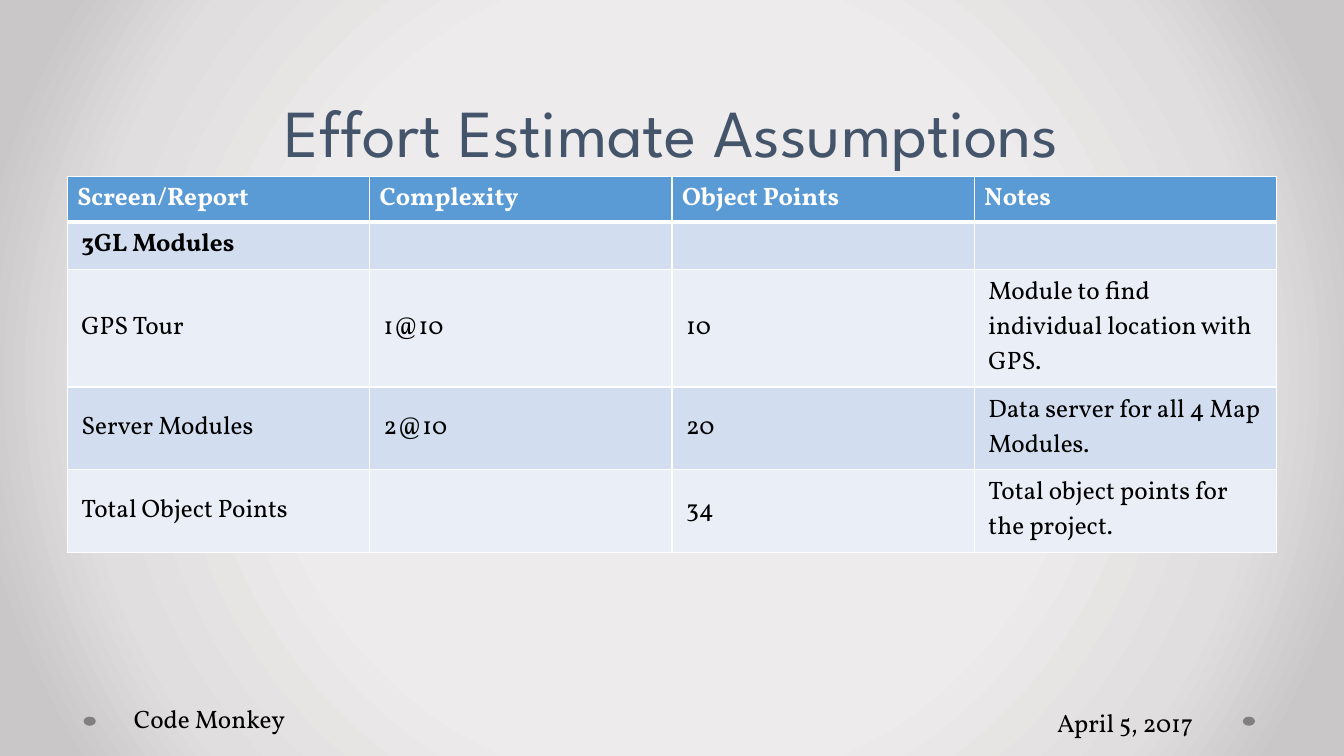
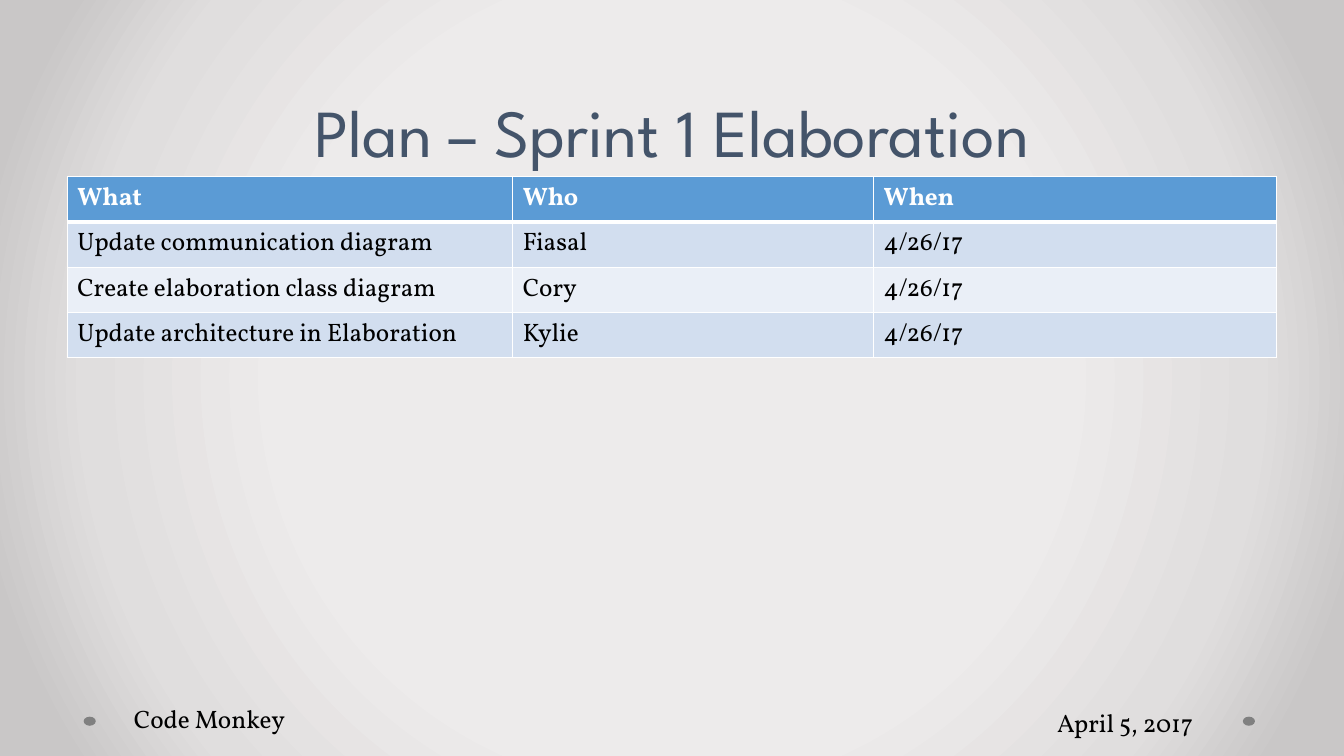
import pptx
import pptx.util
import pptx.oxml
import pptx.oxml.ns
import pptx.dml.color
import pptx.enum.shapes
import pptx.enum.text
from lxml import etree

Inches = pptx.util.Inches
Pt = pptx.util.Pt
RGBColor = pptx.dml.color.RGBColor
Anchor = pptx.enum.text.MSO_ANCHOR
Align = pptx.enum.text.PP_ALIGN
qn = pptx.oxml.ns.qn

WHITE = RGBColor(0xFF, 0xFF, 0xFF)
BLACK = RGBColor(0, 0, 0)
SLATE = RGBColor(0x44, 0x54, 0x6A)
GRAY = RGBColor(0x80, 0x80, 0x80)
HEADER_BLUE = RGBColor(0x5B, 0x9B, 0xD5)
BANDS = [RGBColor(0xD2, 0xDE, 0xEF), RGBColor(0xEA, 0xEF, 0xF7)]
BACKDROP_STOPS = [
    (50, RGBColor(0xED, 0xEB, 0xEB)),
    (76, RGBColor(0xE0, 0xDE, 0xDE)),
    (92, RGBColor(0xC9, 0xC7, 0xC7)),
]

TITLE = {"name": "League Spartan", "size": Pt(48), "color": SLATE, "bold": False}
BODY = {"name": "Vollkorn", "size": Pt(18), "color": BLACK, "bold": False}
HEADER = {**BODY, "color": WHITE, "bold": True}
SECTION = {**BODY, "bold": True}
ROOMY = {
    "margin_left": Inches(0.14),
    "margin_right": Inches(0.14),
    "margin_top": Inches(0.06),
    "margin_bottom": Inches(0.06),
    "vertical_anchor": Anchor.MIDDLE,
}
SLIDE_WIDTH = Inches(40 / 3)
CONTENT_WIDTH = Inches(12)
CONTENT_LEFT = (SLIDE_WIDTH - CONTENT_WIDTH) // 2
FOOTERS = [
    ("Code Monkey", 1.23, 6.93, 1.78),
    ("April 5, 2017", 10.39, 6.97, 1.62),
]
DUE = "4/26/17"
PAGES = [
    {
        "title": "Effort Estimate Assumptions",
        "widths": [3, 3, 3, 3],
        "heights": [0.45, 0.47, 1.17, 0.82, 0.82],
        "cell": ROOMY,
        "rows": [
            ["Screen/Report", "Complexity", "Object Points", "Notes"],
            ["3GL Modules", "", "", ""],
            ["GPS Tour", "1@10", "10", "Module to find individual location with GPS."],
            ["Server Modules", "2@10", "20", "Data server for all 4 Map Modules."],
            ["Total Object Points", "", "34", "Total object points for the project."],
        ],
    },
    {
        "title": "Plan – Sprint 1 Elaboration",
        "widths": [4.42, 3.58, 4],
        "heights": [0.45] * 4,
        "cell": {},
        "rows": [
            ["What", "Who", "When"],
            ["Update communication diagram", "Fiasal", DUE],
            ["Create elaboration class diagram", "Cory", DUE],
            ["Update architecture in Elaboration", "Kylie", DUE],
        ],
    },
]


def write(frame, text, style):
    para = frame.paragraphs[0]
    span = para.add_run()
    span.text = text
    for name, value in style.items():
        if name == "color":
            span.font.color.rgb = value
        else:
            setattr(span.font, name, value)
    return para


def add_borders(cell, top, bottom):
    properties = cell._tc.get_or_add_tcPr()
    for side, width in {"lnL": 1, "lnR": 1, "lnT": top, "lnB": bottom}.items():
        line = etree.SubElement(properties, qn("a:" + side), w=str(Pt(width)))
        fill = etree.SubElement(line, qn("a:solidFill"))
        etree.SubElement(fill, qn("a:srgbClr"), val=str(WHITE))


deck = pptx.Presentation()
deck.slide_width = SLIDE_WIDTH
deck.slide_height = Inches(7.5)

master = deck.slide_master
master.background.fill.gradient()
gradient = master.element.find(".//" + qn("a:gradFill"))
for child in list(gradient):
    gradient.remove(child)
stops = etree.SubElement(gradient, qn("a:gsLst"))
for position, color in BACKDROP_STOPS:
    stop = etree.SubElement(stops, qn("a:gs"), pos=str(position * 1000))
    etree.SubElement(stop, qn("a:srgbClr"), val=str(color))
shade = etree.SubElement(gradient, qn("a:path"), path="circle")
etree.SubElement(shade, qn("a:fillToRect"), l="50000", t="50000", r="50000", b="50000")

for content in PAGES:
    page = deck.slides.add_slide(deck.slide_layouts[6])

    for left in (12.33, 0.83):
        dot = page.shapes.add_shape(
            pptx.enum.shapes.MSO_SHAPE.OVAL,
            Inches(left), Inches(7.11), Inches(0.12), Inches(0.09),
        )
        dot.shadow.inherit = False
        dot.fill.solid()
        dot.fill.fore_color.rgb = GRAY
        dot.line.fill.background()

    box = page.shapes.add_textbox(CONTENT_LEFT, 0, CONTENT_WIDTH, Inches(1.75))
    box.text_frame.word_wrap = True
    box.text_frame.vertical_anchor = Anchor.BOTTOM
    para = write(box.text_frame, content["title"], TITLE)
    para.alignment = Align.CENTER
    para.line_spacing = Pt(48)

    rows, widths, heights = content["rows"], content["widths"], content["heights"]
    table = page.shapes.add_table(
        len(rows), len(widths),
        CONTENT_LEFT, Inches(1.75), CONTENT_WIDTH, Inches(sum(heights)),
    ).table
    for column, width in zip(table.columns, widths):
        column.width = Inches(width)
    for table_row, height in zip(table.rows, heights):
        table_row.height = Inches(height)
    for row_index, row in enumerate(rows):
        is_header = row_index == 0
        is_section = not any(row[1:])
        style = HEADER if is_header else SECTION if is_section else BODY
        for column_index, text in enumerate(row):
            cell = table.cell(row_index, column_index)
            add_borders(cell, 3 if row_index == 1 else 1, 3 if is_header else 1)
            cell.fill.solid()
            cell.fill.fore_color.rgb = HEADER_BLUE if is_header else BANDS[(row_index - 1) % 2]
            if text:
                write(cell.text_frame, text, style)
                for name, value in ({} if is_header else content["cell"]).items():
                    setattr(cell, name, value)

    for text, left, top, width in FOOTERS:
        box = page.shapes.add_textbox(Inches(left), Inches(top), Inches(width), Inches(0.4))
        box.text_frame.word_wrap = False
        box.text_frame.auto_size = pptx.enum.text.MSO_AUTO_SIZE.SHAPE_TO_FIT_TEXT
        write(box.text_frame, text, BODY)

deck.save("out.pptx")
